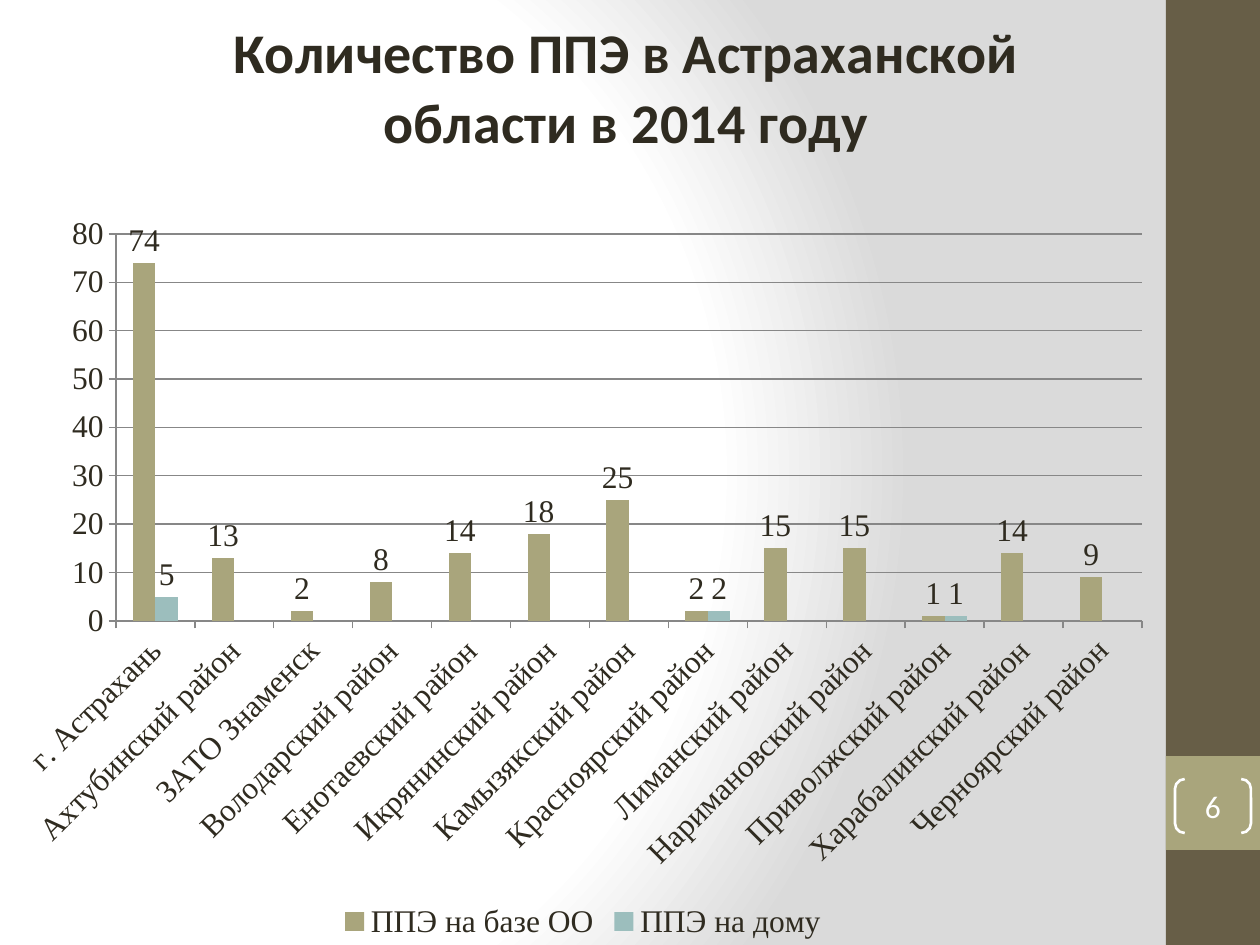
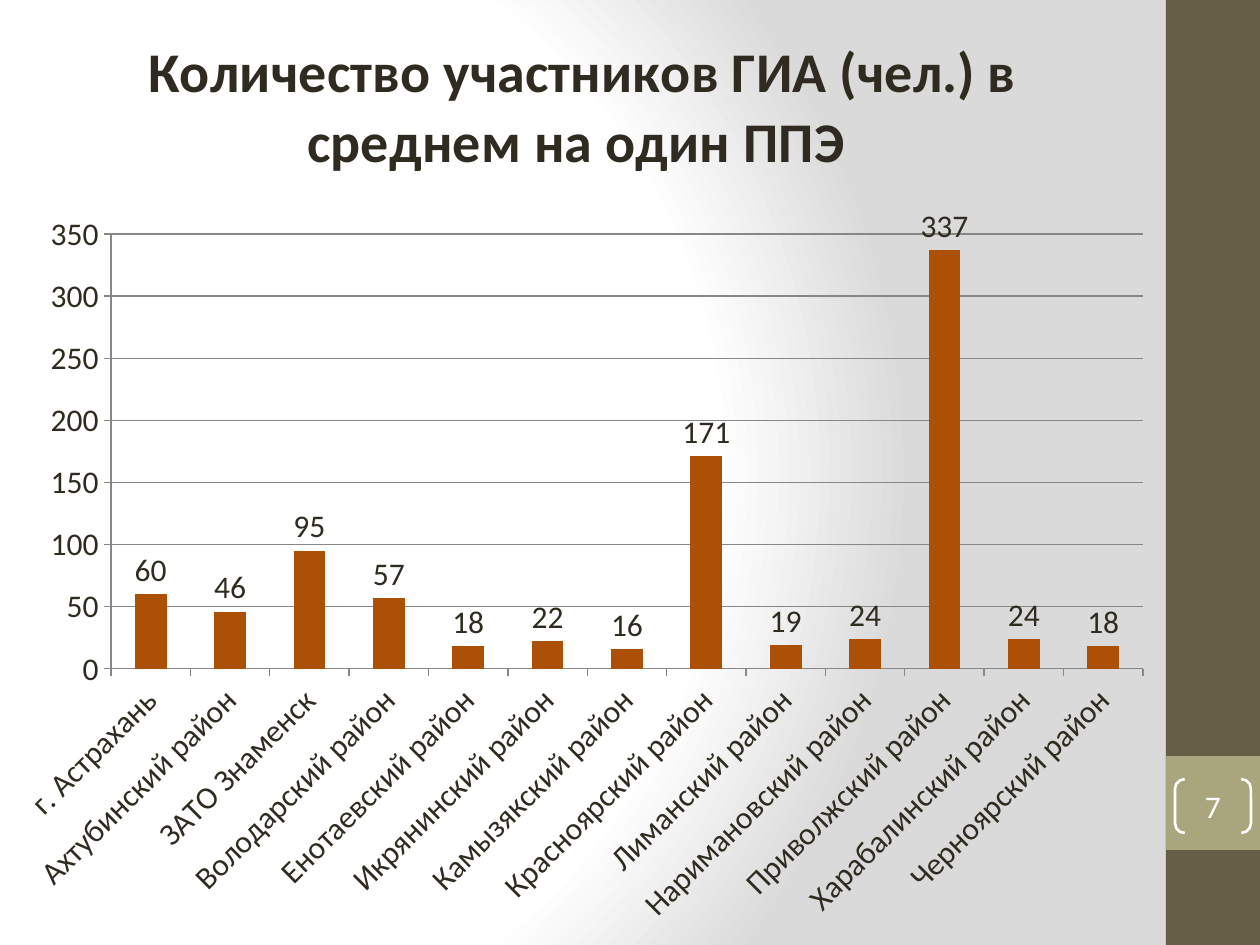
from pptx import Presentation, oxml, util as u
from pptx.chart import data
from pptx.dml import color
from pptx.enum import chart as ch, shapes, text

PX = 914400 / 126
HUES = dict(ink="2F2B20", band="675E47", tan="A9A57C", teal="9CBEBD",
            rust="AB5005", grid="878787", white="FFFFFF", gray="DADADA")
SANS, SERIF = "Calibri", "Times New Roman"
C_NS = 'xmlns:c="http://schemas.openxmlformats.org/drawingml/2006/chart"'
A_NS = 'xmlns:a="http://schemas.openxmlformats.org/drawingml/2006/main"'
AREAS = ["г. Астрахань", "Ахтубинский район", "ЗАТО Знаменск",
         "Володарский район", "Енотаевский район", "Икрянинский район",
         "Камызякский район", "Красноярский район", "Лиманский район",
         "Наримановский район", "Приволжский район",
         "Харабалинский район", "Черноярский район"]


def px(*vals):
    return [u.Emu(round(v * PX)) for v in vals]


def rgb(name):
    return color.RGBColor.from_string(HUES[name])


def put(item, **fmt):
    for key, val in fmt.items():
        setattr(item, key, val)


def style(font, name, size=18, hue="ink", bold=False):
    put(font, name=name, size=u.Pt(size), bold=bold)
    font.color.rgb = rgb(hue)


def paint(fill, hue):
    fill.solid()
    fill.fore_color.rgb = rgb(hue)


def stroke(line, hue, width):
    line.color.rgb = rgb(hue)
    line.width = u.Pt(width)


def back(master):
    fill = master.background.fill
    fill.gradient()
    grad = master._element.find(".//" + oxml.ns.qn("a:gradFill"))
    stops = "".join(
        f'<a:gs pos="{pos * 1000}"><a:srgbClr val="{HUES[hue]}"/></a:gs>'
        for pos, hue in [(0, "white"), (75, "white"), (100, "gray")])
    new = oxml.parse_xml(
        f'<a:gradFill {A_NS} rotWithShape="1"><a:gsLst>{stops}</a:gsLst>'
        '<a:path path="circle"><a:fillToRect l="20000" t="50000" '
        'r="100000" b="50000"/></a:path></a:gradFill>')
    grad.getparent().replace(grad, new)


def place(node, index, box, frame, inner=False):
    old = node.find(oxml.ns.qn("c:layout"))
    if old is not None:
        node.remove(old)
    left, top, wide, high = frame
    spots = [(box[0] - left) / wide, (box[1] - top) / high]
    spots += [size / full for size, full in zip(box[2:], (wide, high))]
    modes = '<c:layoutTarget val="inner"/>' if inner else ""
    modes += '<c:xMode val="edge"/><c:yMode val="edge"/>'
    for key, val in zip("xywh", spots):
        modes += f'<c:{key} val="{val:.4f}"/>'
    node.insert(index, oxml.parse_xml(
        f'<c:layout {C_NS}><c:manualLayout>{modes}</c:manualLayout></c:layout>'))


def side(slide, box, number):
    left, top, wide, high = box
    for y, tall, hue in [(top, high, "band"), (top + 756, wide, "tan")]:
        bar = slide.shapes.add_shape(
            shapes.MSO_SHAPE.RECTANGLE, *px(left, y, wide, tall))
        bar.shadow.inherit = False
        paint(bar.fill, hue)
        bar.line.fill.background()
    mark = slide.shapes.add_shape(
        shapes.MSO_SHAPE.DOUBLE_BRACKET, *px(left + 9, top + 779, 76, 54))
    mark.shadow.inherit = False
    mark.adjustments[0] = 0.18
    mark.fill.background()
    stroke(mark.line, "white", 1.5)
    frame = mark.text_frame
    put(frame, margin_left=0, margin_top=0, margin_right=0, margin_bottom=0,
        vertical_anchor=text.MSO_ANCHOR.MIDDLE)
    para = frame.paragraphs[0]
    para.alignment = text.PP_ALIGN.CENTER
    run = para.add_run()
    run.text = str(number)
    style(run.font, SANS, hue="white")


def graph(slide, box, title, spot, plot, face, top, step, rows, legend):
    table = data.CategoryChartData()
    table.categories = AREAS
    for name, vals, hue in rows:
        table.add_series(name, vals)
    chart = slide.shapes.add_chart(
        ch.XL_CHART_TYPE.COLUMN_CLUSTERED, *px(*box), table).chart
    style(chart.font, SANS, 10)
    chart.has_title = True
    para = chart.chart_title.text_frame.paragraphs[0]
    run = para.add_run()
    run.text = title
    style(run.font, SANS, 32, bold=True)
    chart.chart_title.include_in_layout = False
    place(chart.chart_title._element, 1, spot, box)
    place(chart._chartSpace.chart.plotArea, 0, plot, box, True)

    axes = chart.category_axis, chart.value_axis
    for axis in axes:
        put(axis, major_tick_mark=ch.XL_TICK_MARK.OUTSIDE,
            minor_tick_mark=ch.XL_TICK_MARK.NONE)
        style(axis.tick_labels.font, face)
        stroke(axis.format.line, "grid", 0.75)
    axes[0]._element.txPr.bodyPr.set("rot", "-2700000")
    put(axes[1], minimum_scale=0, maximum_scale=top, major_unit=step,
        has_major_gridlines=True)
    stroke(axes[1].major_gridlines.format.line, "grid", 0.75)

    bars = chart.plots[0]
    put(bars, gap_width=150, overlap=0, vary_by_categories=False)
    for item, (name, vals, hue) in zip(bars.series, rows):
        item.invert_if_negative = False
        paint(item.format.fill, hue)
        tags = item.data_labels
        put(tags, show_value=True,
            position=ch.XL_LABEL_POSITION.OUTSIDE_END)
        style(tags.font, face)
    chart.has_legend = legend
    if legend:
        put(chart.legend, position=ch.XL_LEGEND_POSITION.BOTTOM,
            include_in_layout=False)
        style(chart.legend.font, face)


HOME = [None] * len(AREAS)
for area, count in [(0, 5), (7, 2), (10, 1)]:
    HOME[area] = count

PAGES = [
    dict(box=(0, 0, 1166, 945), title="Количество ППЭ в Астраханской области в 2014 году",
         spot=(223, 3), plot=(116, 234, 1026, 387), face=SERIF,
         top=80, step=10, legend=True,
         rows=[("ППЭ на базе ОО",
                [74, 13, 2, 8, 14, 18, 25, 2, 15, 15, 1, 14, 9], "tan"),
               ("ППЭ на дому", HOME, "teal")]),
    dict(box=(0, -2, 1166, 945), title="Количество участников ГИА (чел.) в среднем на один ППЭ ",
         spot=(138, 22), plot=(111, 234, 1032, 435), face=SANS,
         top=350, step=50, legend=False,
         rows=[("Series 1",
                [60, 46, 95, 57, 18, 22, 16, 171, 19, 24, 337, 24, 18],
                "rust")]),
]

deck = Presentation()
deck.slide_width, deck.slide_height = px(1260, 945)
back(deck.slide_master)
for number, page in enumerate(PAGES, 6):
    slide = deck.slides.add_slide(deck.slide_layouts[6])
    graph(slide, **page)
    side(slide, (1166, 0, 94, 945), number)
deck.save("out.pptx")
